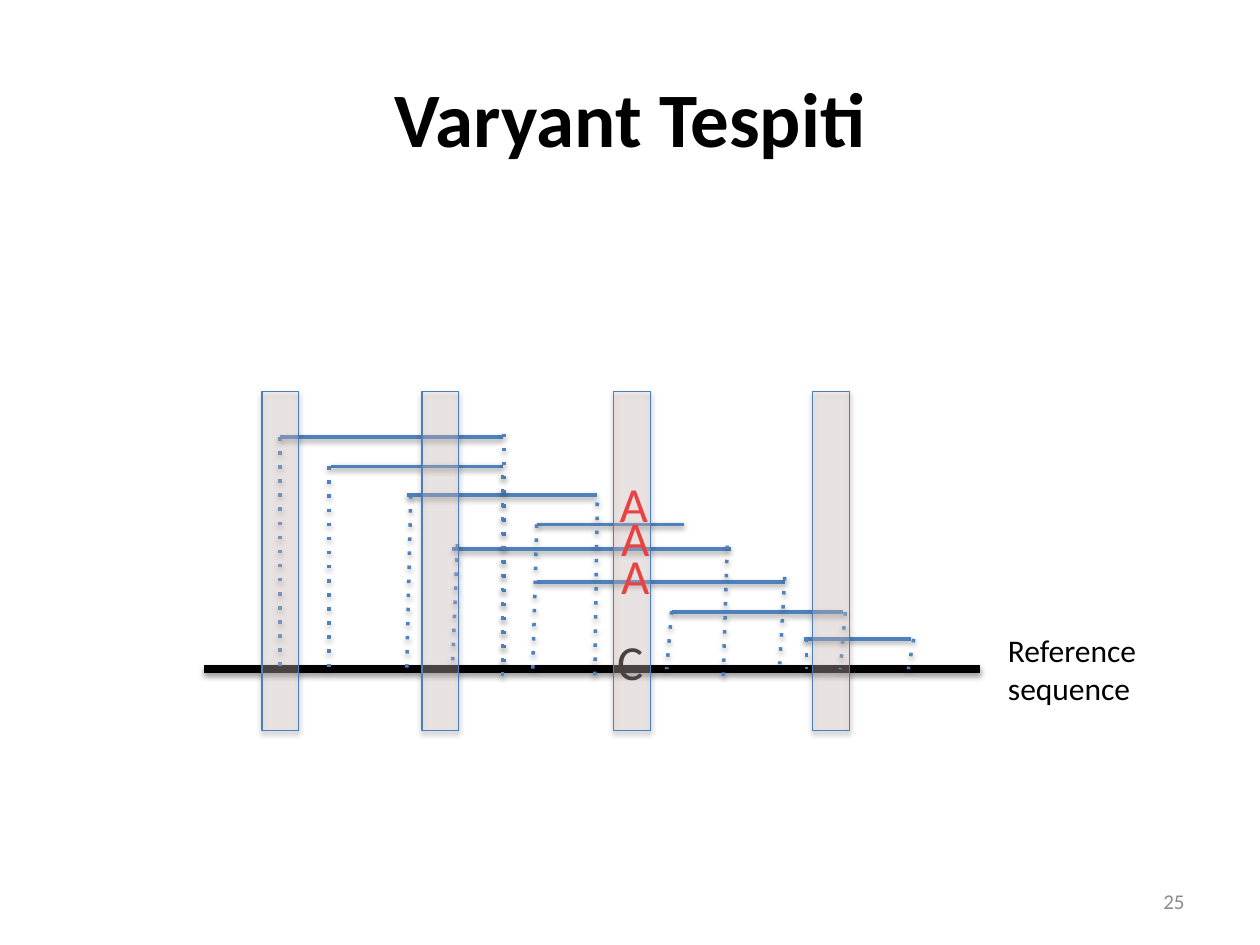
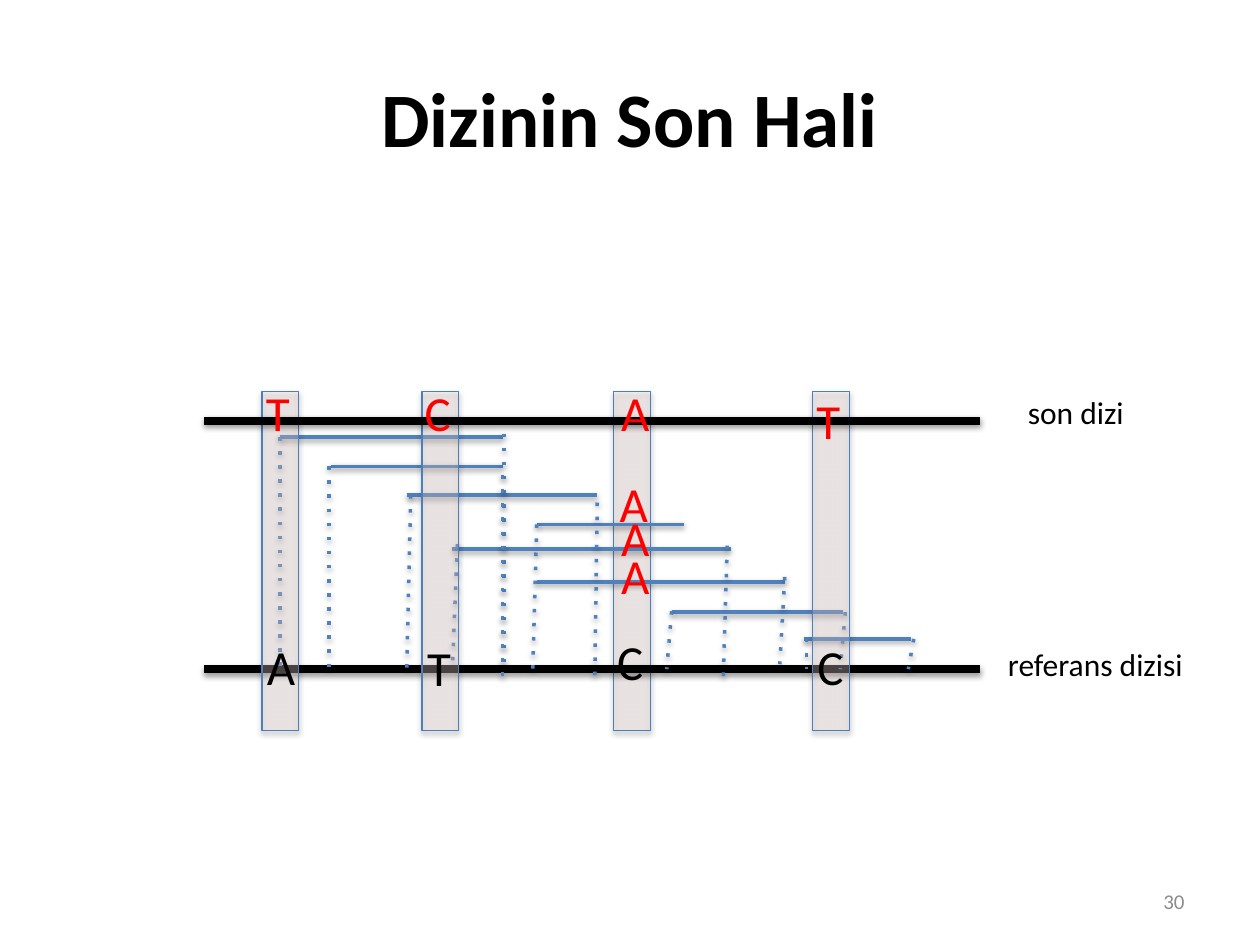
from lxml.etree import SubElement
from pptx import Presentation
from pptx.dml.color import RGBColor
from pptx.enum.dml import MSO_LINE
from pptx.enum.shapes import MSO_CONNECTOR, MSO_SHAPE
from pptx.enum.text import MSO_ANCHOR, PP_ALIGN
from pptx.oxml.ns import qn
from pptx.util import Cm, Pt

# Shared style
FONT = "Calibri"
BLACK, RED, GREY = "000000", "FF0000", "8C8C8C"
READ_BLUE, BAR_EDGE, BAR_FILL = "4F81BD", "4B7EBC", "F2DCDB"
BAR_OPACITY = 30

# Shared diagram, in centimetres
SEQUENCE_LEFT, SEQUENCE_RIGHT = 4.11, 19.76
REFERENCE_Y, FINAL_Y = 13.49, 8.48
BAR_LEFTS = [16.38, 8.51, 5.28]
VARIANT_BAR_LEFT = 12.37
BAR_TOP, BAR_WIDTH, BAR_HEIGHT = 7.9, 0.74, 6.83

# Reads: left, right, height on the slide
READS = [
    (6.68, 10.13, 9.4), (5.64, 10.13, 8.81), (10.82, 13.79, 10.57),
    (8.2, 12.04, 9.98), (10.82, 15.82, 11.73), (9.12, 14.73, 11.07),
    (16.21, 18.36, 12.88), (13.54, 16.99, 12.34),
]

# Dotted projections of the read ends: top x, top y, bottom x, bottom y
PROJECTIONS = [
    (5.64, 8.81, 5.64, 13.49), (10.16, 8.74, 10.16, 13.39),
    (6.63, 9.4, 6.63, 13.49), (10.13, 9.58, 10.13, 13.64),
    (8.28, 9.98, 8.2, 13.49), (12.04, 10.13, 11.99, 13.64),
    (10.82, 10.57, 10.74, 13.49), (14.66, 11, 14.58, 13.64),
    (9.22, 10.97, 9.12, 13.49), (15.82, 11.63, 15.72, 13.39),
    (13.54, 12.32, 13.44, 13.49), (17.04, 12.34, 16.94, 13.49),
    (16.26, 12.88, 16.26, 13.49), (18.42, 12.88, 18.31, 13.49),
]

# Bases: letter, left, top, colour
VARIANT_BASES = [
    ("A", 12.27, 10.11, RED), ("A", 12.27, 10.87, RED),
    ("C", 12.19, 12.6, BLACK), ("A", 12.24, 9.42, RED),
]
FINAL_BASES = [
    ("T", 16.21, 7.75, RED), ("A", 12.27, 7.59, RED),
    ("C", 8.31, 7.59, RED), ("T", 5.11, 7.59, RED),
    ("A", 5.13, 12.7, BLACK), ("T", 8.36, 12.73, BLACK),
    ("C", 16.23, 12.7, BLACK),
]

# Slides; labels are text, left, top, height
DETECTION = {"title": "Varyant Tespiti", "number": "25",
             "labels": [("Reference sequence", 20.07, 12.6, 1.8)]}
RESULT = {"title": "Dizinin Son Hali", "number": "30",
          "labels": [("referans dizisi", 20.07, 12.88, 1.02),
                     ("son dizi", 20.47, 7.8, 1.02)]}


def color(hex_text):
    return RGBColor.from_string(hex_text)


def style(paragraph, size, hex_text, alignment=PP_ALIGN.LEFT, bold=False):
    paragraph.alignment = alignment
    paragraph.font.name = FONT
    paragraph.font.size = Pt(size)
    paragraph.font.bold = bold
    paragraph.font.color.rgb = color(hex_text)


def add_text(shapes, text, left, top, width, height, size, hex_text,
             alignment=PP_ALIGN.LEFT, anchor=MSO_ANCHOR.TOP):
    box = shapes.add_textbox(Cm(left), Cm(top), Cm(width), Cm(height))
    frame = box.text_frame
    frame.word_wrap = True
    frame.vertical_anchor = anchor
    frame.text = text
    style(frame.paragraphs[0], size, hex_text, alignment)


def add_line(shapes, x1, y1, x2, y2, hex_text, width, dotted=False):
    # The soft shadow comes from the theme
    line = shapes.add_connector(MSO_CONNECTOR.STRAIGHT,
                                Cm(x1), Cm(y1), Cm(x2), Cm(y2))
    line.line.color.rgb = color(hex_text)
    line.line.width = Pt(width)
    if dotted:
        line.line.dash_style = MSO_LINE.ROUND_DOT
        next(line._element.iter(qn("a:prstDash"))).set("val", "dot")


def add_sequence(shapes, y):
    add_line(shapes, SEQUENCE_LEFT, y, SEQUENCE_RIGHT, y, BLACK, 4.5)


def add_bar(shapes, left):
    # Translucent column; its shadow also comes from the theme
    bar = shapes.add_shape(MSO_SHAPE.RECTANGLE, Cm(left), Cm(BAR_TOP),
                           Cm(BAR_WIDTH), Cm(BAR_HEIGHT))
    bar.fill.solid()
    bar.fill.fore_color.rgb = color(BAR_FILL)
    fill_color = next(bar._element.spPr.iter(qn("a:srgbClr")))
    SubElement(fill_color, qn("a:alpha"), val=str(BAR_OPACITY * 1000))
    bar.line.color.rgb = color(BAR_EDGE)
    bar.line.width = Pt(0.75)


def add_alignment(shapes):
    add_sequence(shapes, REFERENCE_Y)
    for left, right, y in READS:
        add_line(shapes, left, y, right, y, READ_BLUE, 2)
    for projection in PROJECTIONS:
        add_line(shapes, *projection, READ_BLUE, 2, dotted=True)


def add_bases(shapes, bases, width):
    for letter, left, top, hex_text in bases:
        add_text(shapes, letter, left, top, width, 1.45, 28, hex_text)


def add_slide(presentation, content):
    slide = presentation.slides.add_slide(presentation.slide_layouts[5])
    title = slide.shapes.title
    title.left, title.top, title.width, title.height = (
        Cm(1.27), Cm(0.76), Cm(22.86), Cm(3.18))
    title.text_frame.text = content["title"]
    title.text_frame.vertical_anchor = MSO_ANCHOR.MIDDLE
    style(title.text_frame.paragraphs[0], 44, BLACK, PP_ALIGN.CENTER, True)
    for text, left, top, height in content["labels"]:
        add_text(slide.shapes, text, left, top, 4.42, height, 18, BLACK)
    add_text(slide.shapes, content["number"], 18.21, 17.65, 5.92, 1.02, 12,
             GREY, PP_ALIGN.RIGHT, MSO_ANCHOR.MIDDLE)
    return slide


presentation = Presentation()
presentation.slide_width, presentation.slide_height = Cm(25.4), Cm(19.05)

# Variant detection: all columns lie over the bases
slide = add_slide(presentation, DETECTION)
diagram = slide.shapes.add_group_shape().shapes
add_alignment(diagram)
add_bases(diagram, VARIANT_BASES, 1.78)
for left in [VARIANT_BAR_LEFT] + BAR_LEFTS:
    add_bar(diagram, left)

# Final sequence: the variant column lies behind the reads
slide = add_slide(presentation, RESULT)
add_bar(slide.shapes, VARIANT_BAR_LEFT)
add_alignment(slide.shapes.add_group_shape().shapes)
add_bases(slide.shapes, VARIANT_BASES, 1.78)
for left in BAR_LEFTS:
    add_bar(slide.shapes, left)
add_sequence(slide.shapes, FINAL_Y)
add_bases(slide.shapes, FINAL_BASES, 2.13)

presentation.save("out.pptx")
